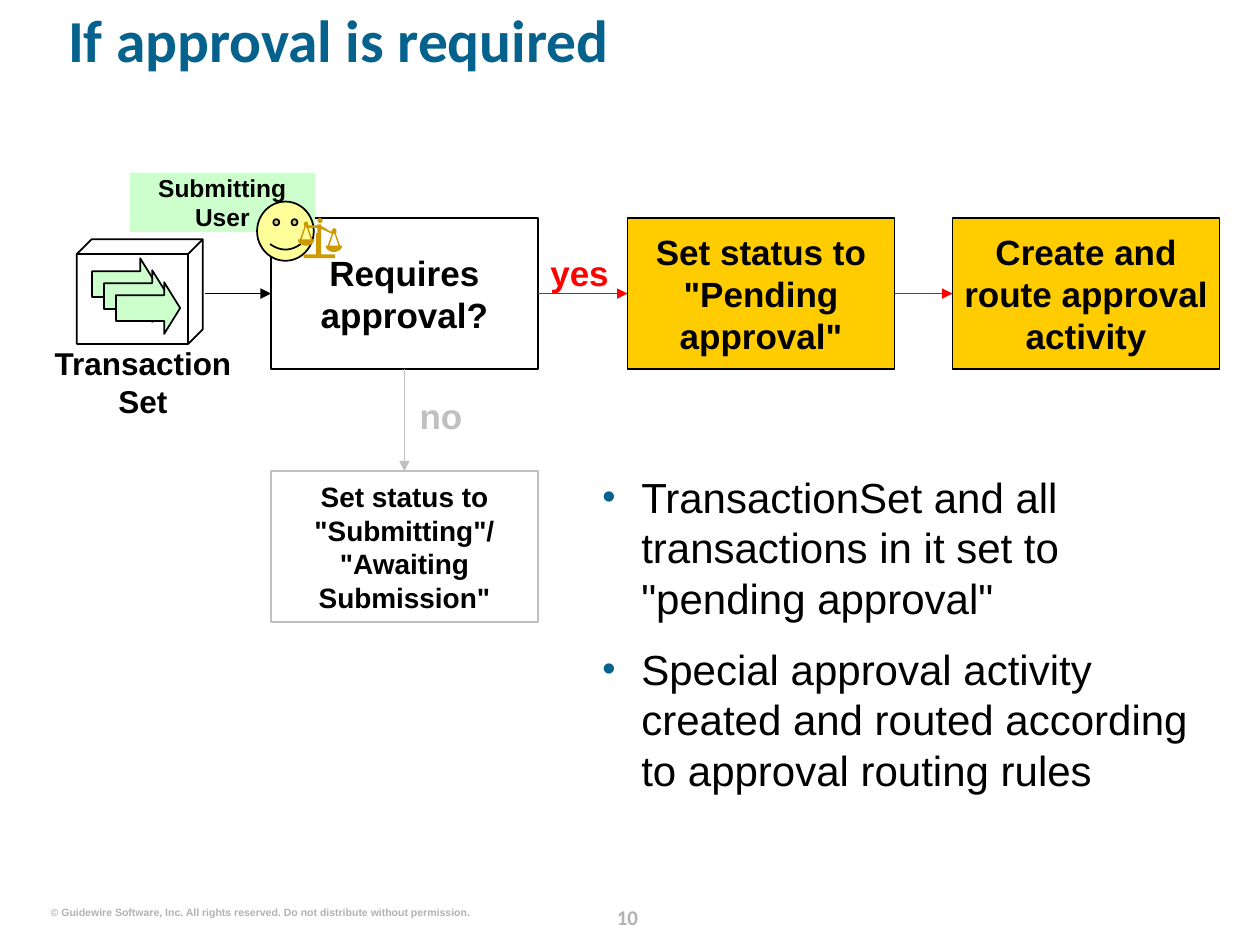
from math import cos, pi, sin
from lxml.etree import SubElement
from pptx import Presentation
from pptx.dml.color import RGBColor
from pptx.enum.shapes import MSO_CONNECTOR as Link, MSO_SHAPE as Preset
from pptx.enum.text import MSO_ANCHOR as Anchor, MSO_AUTO_SIZE as Fit, PP_ALIGN as Align
from pptx.oxml.ns import qn
from pptx.util import Inches, Pt

TITLE = "If approval is required"
BULLETS = [
    'TransactionSet and all transactions in it set to "pending approval"',
    "Special approval activity created and routed according to approval routing rules",
]
BLACK, RED, GREY, AMBER = "000000", "FF0000", "C0C0C0", "FFCC00"
BLUE, GREEN, YELLOW, GOLD, PALE = "04628C", "CCFFCC", "FFFF99", "CC9900", "B2B2B2"

COLUMNS, ROWS = (2.15, 4.98, 7.56), (1.73, 3.74)
BOX_WIDTH, BOX_HEIGHT = 2.12, 1.2
STEPS = {
    "check": ("Requires approval?", 0, 0, None, BLACK, 20, 0.15),
    "pending": ('Set status to "Pending approval"', 1, 0, AMBER, BLACK, 20, 0.15),
    "activity": ("Create and route approval activity", 2, 0, AMBER, BLACK, 20, 0.04),
    "submitting": ('Set status to "Submitting"/\n"Awaiting Submission"', 0, 1, None, GREY, 16, 0.12),
}
RIGHT, LEFT, BOTTOM, TOP = 3, 1, 2, 0
FLOWS = [
    ("check", RIGHT, "pending", LEFT, RED),
    ("pending", RIGHT, "activity", LEFT, RED),
    ("check", BOTTOM, "submitting", TOP, GREY),
]
LABELS = [
    ("yes", (4.27, 2, 0.66, 0.33), 20, RED, Align.CENTER),
    ("no", (3.33, 3.13, 0.41, 0.33), 20, GREY, Align.LEFT),
    ("Transaction\nSet", (0.4, 2.73, 1.47, 0.6), 18, BLACK, Align.CENTER),
]
COPYRIGHT = "© Guidewire Software, Inc. All rights reserved. Do not distribute without permission."
BEAM = [
    (2.41, 1.78), (2.42, 1.76), (2.44, 1.76), (2.45, 1.79), (2.5, 1.79), (2.54, 1.79),
    (2.58, 1.81), (2.61, 1.83), (2.63, 1.84), (2.64, 1.82), (2.65, 1.81), (2.67, 1.82),
    (2.67, 1.85), (2.65, 1.86), (2.62, 1.85), (2.58, 1.83), (2.53, 1.81), (2.44, 1.81),
    (2.42, 1.8),
]
PANS = [(2.43, 1.79), (2.65, 1.84)]
STAND = [(2.52, 1.78, 0.03, 0.11), (2.51, 1.85, 0.04, 0.18), (2.41, 2.02, 0.25, 0.03)]


def color(code):
    return RGBColor.from_string(code)


def paint(part, fill, line=None):
    part.shadow.inherit = False
    if fill:
        part.fill.solid()
        part.fill.fore_color.rgb = color(fill)
    else:
        part.fill.background()
    if line:
        part.line.color.rgb = color(line)
        part.line.width = Pt(1)
    else:
        part.line.fill.background()


def style(paragraph, size, code, align=Align.LEFT, name="Arial", bold=True):
    paragraph.alignment = align
    font = paragraph.font
    font.name, font.size, font.bold = name, Pt(size), bold
    font.color.rgb = color(code)


def prepare(frame, inset=0, anchor=Anchor.TOP, wrap=True):
    frame.margin_left = frame.margin_right = Inches(inset)
    frame.margin_top = frame.margin_bottom = 0
    frame.word_wrap, frame.auto_size = wrap, Fit.NONE
    frame.vertical_anchor = anchor


def place(part, left, top, width, height):
    part.left, part.top = Inches(left), Inches(top)
    part.width, part.height = Inches(width), Inches(height)


def preset(shapes, kind, area, fill, line=None):
    part = shapes.add_shape(kind, *map(Inches, area))
    paint(part, fill, line)
    return part


def label(shapes, text, area, size, code, align, name="Arial", wrap=True):
    frame = shapes.add_textbox(*map(Inches, area)).text_frame
    prepare(frame, wrap=wrap)
    frame.paragraphs[0].text = text
    style(frame.paragraphs[0], size, code, align, name)
    return frame.paragraphs[0]


def outline(shapes, points, fill):
    start, *rest = [(Inches(x), Inches(y)) for x, y in points]
    builder = shapes.build_freeform(*start)
    builder.add_line_segments(rest, close=True)
    paint(builder.convert_to_shape(), fill)


def arrow(shapes, start, end, code):
    link = shapes.add_connector(Link.STRAIGHT, *map(Inches, start + end))
    link.line.color.rgb = color(code)
    link.line.width = Pt(1)
    SubElement(link.line._get_or_add_ln(), qn("a:tailEnd"), type="triangle")
    SubElement(link._element.spPr, qn("a:effectLst"))
    return link


def add_bullet(paragraph):
    props = paragraph._p.get_or_add_pPr()
    props.set("marL", str(Inches(0.31)))
    props.set("indent", str(-Inches(0.31)))
    SubElement(SubElement(props, qn("a:buClr")), qn("a:srgbClr"), val=BLUE)
    SubElement(props, qn("a:buSzPct"), val="90000")
    SubElement(props, qn("a:buChar"), char="•")


def write_placeholders(slide):
    title, body = slide.placeholders
    place(title, 0.54, 0.13, 9.1, 0.81)
    prepare(title.text_frame)
    heading = title.text_frame.paragraphs[0]
    heading.text, heading.line_spacing = TITLE, 0.8
    style(heading, 34, BLUE, name="Calibri")
    place(body, 4.78, 3.74, 4.92, 3.24)
    prepare(body.text_frame)
    body.text_frame.text = "\n".join(BULLETS)
    for index, point in enumerate(body.text_frame.paragraphs):
        add_bullet(point)
        point.space_before = Pt(12 if index else 0)
        style(point, 24, BLACK, bold=False)


def draw_flow(shapes):
    boxes = {}
    for key, (text, column, row, fill, line, size, inset) in STEPS.items():
        area = (COLUMNS[column], ROWS[row], BOX_WIDTH, BOX_HEIGHT)
        box = boxes[key] = preset(shapes, Preset.RECTANGLE, area, fill, line)
        prepare(box.text_frame, inset, Anchor.MIDDLE)
        box.text_frame.paragraphs[0].text = text
        style(box.text_frame.paragraphs[0], size, BLACK, Align.CENTER)
    for source, exit_side, target, entry_side, code in FLOWS:
        link = arrow(shapes, (0, 0), (1, 1), code)
        link.begin_connect(boxes[source], exit_side)
        link.end_connect(boxes[target], entry_side)
    middle = ROWS[0] + BOX_HEIGHT / 2
    arrow(shapes, (1.63, middle), (COLUMNS[0], middle), BLACK)


def draw_transaction_set(shapes):
    for step in range(3):
        area = (0.73 + step * 0.095, 2.05 + step * 0.095, 0.51, 0.41)
        transaction = preset(shapes, Preset.RIGHT_ARROW, area, GREEN, BLACK)
        transaction.adjustments[1] = 0.31
    cube = preset(shapes, Preset.CUBE, (0.61, 1.9, 1, 0.83), None, BLACK)
    cube.adjustments[0] = 0.14


def draw_user(shapes):
    tag = preset(shapes, Preset.RECTANGLE, (1.03, 1.37, 1.47, 0.47), GREEN)
    prepare(tag.text_frame)
    tag.text_frame.text = "Submitting User"
    style(tag.text_frame.paragraphs[0], 14, BLACK, Align.CENTER)
    face = preset(shapes, Preset.SMILEY_FACE, (2.04, 1.6, 0.45, 0.47), YELLOW, BLACK)
    face.adjustments[0] = 0.05
    outline(shapes, BEAM, GOLD)
    for x, y in PANS:
        arc = [pi * step / 16 for step in range(17)]
        outline(shapes, [(x + 0.065 * cos(a), y + 0.11 + 0.05 * sin(a)) for a in arc], GOLD)
        for side in (-1, 1):
            cord = [(0.04, 0.12), (0, 0), (-0.01, 0), (0.05, 0.11)]
            cord[2] = (0.01, 0)
            outline(shapes, [(x + side * dx, y + dy) for dx, dy in (cord[0], cord[1], cord[2], cord[3])], GOLD)
    for area in STAND:
        preset(shapes, Preset.RECTANGLE, area, GOLD)
    preset(shapes, Preset.OVAL, (2.52, 1.73, 0.04, 0.04), GOLD)


def main():
    """Build the approval flow slide."""
    deck = Presentation()
    deck.slide_width, deck.slide_height = Inches(10), Inches(7.5)
    slide = deck.slides.add_slide(deck.slide_layouts[1])
    shapes = slide.shapes
    write_placeholders(slide)
    number = label(shapes, "10", (4.73, 7.13, 0.5, 0.25), 12, PALE, Align.CENTER, "Calibri")
    number.line_spacing = Pt(18)
    label(shapes, COPYRIGHT, (0.4, 7.19, 3.33, 0.1), 6, PALE, Align.RIGHT, wrap=False)
    draw_transaction_set(shapes)
    draw_flow(shapes)
    for entry in LABELS:
        label(shapes, *entry)
    draw_user(shapes)
    deck.save("out.pptx")


if __name__ == "__main__":
    main()
